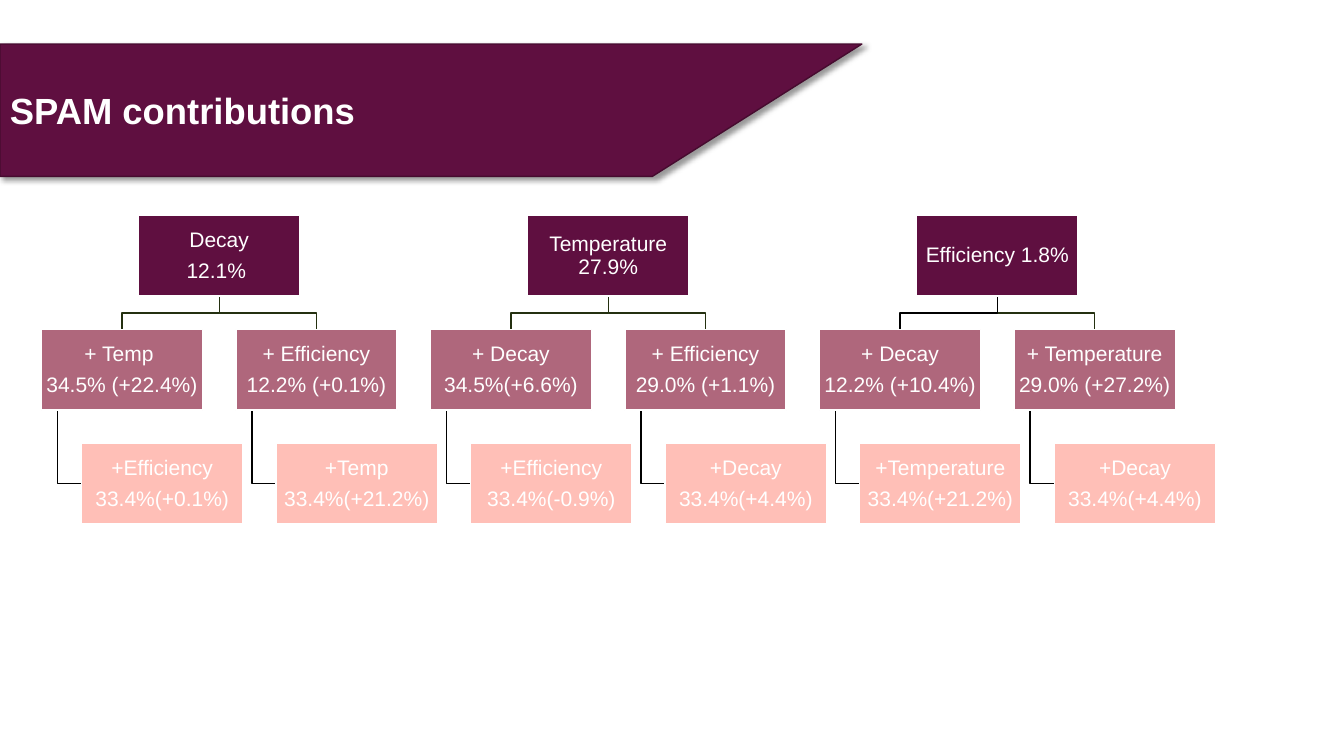
"""Build the SPAM contributions slide: a title banner above three two-branch trees."""
from lxml import etree
from pptx import Presentation
from pptx.dml.color import RGBColor
from pptx.enum import shapes, text
from pptx.oxml import ns
from pptx.util import Pt

PLUM, ROSE, PINK, WHITE = "5F0F40", "AF677C", "FFBFB7", "FFFFFF"
BLACK, OLIVE = "000000", "243010"
BOX_W, BOX_H = 115.2, 57.6
COLUMN_STEP, ROW_STEP = 138.96, 81.4
LEFT, TOP = 29.5, 154
LEAF_INDENT, ELBOW_INDENT = 28.8, 11.5


def outline(points, line_color, close=False):
    corners = [(Pt(x), Pt(y)) for x, y in points]
    builder = slide.shapes.build_freeform(*corners[0])
    builder.add_line_segments(corners[1:], close=close)
    path_shape = builder.convert_to_shape()
    path_shape.shadow.inherit = False
    path_shape.fill.background()
    path_shape.line.color.rgb = RGBColor.from_string(line_color)
    path_shape.line.width = Pt(1)
    return path_shape


def node(left, row, color, lines):
    box = slide.shapes.add_shape(
        shapes.MSO_SHAPE.RECTANGLE,
        Pt(left), Pt(TOP + row * ROW_STEP), Pt(BOX_W), Pt(BOX_H))
    box.shadow.inherit = False
    box.fill.solid()
    box.fill.fore_color.rgb = RGBColor.from_string(color)
    box.line.color.rgb = RGBColor.from_string(WHITE)
    box.line.width = Pt(1)
    frame = box.text_frame
    frame.word_wrap = True
    frame.vertical_anchor = text.MSO_ANCHOR.MIDDLE
    frame.margin_left = frame.margin_right = Pt(0.72)
    frame.margin_top = frame.margin_bottom = Pt(0.72)
    for i, line in enumerate(lines):
        paragraph = frame.add_paragraph() if i else frame.paragraphs[0]
        paragraph.text = line
        paragraph.alignment = text.PP_ALIGN.CENTER
        paragraph.line_spacing = 0.9
        paragraph.space_after = Pt(6)
        paragraph.font.name = "Arial"
        paragraph.font.size = Pt(15)
        paragraph.font.color.rgb = RGBColor.from_string(WHITE)


prs = Presentation()
prs.slide_width, prs.slide_height = Pt(960), Pt(540)
slide = prs.slides.add_slide(prs.slide_layouts[6])

banner = outline([(0, 31.5), (615.6, 31.5), (466, 126), (0, 126)], "460B2F", close=True)
banner.fill.solid()
banner.fill.fore_color.rgb = RGBColor.from_string(PLUM)
effects = banner._element.spPr.find(ns.qn("a:effectLst"))
shadow = etree.SubElement(
    effects, ns.qn("a:outerShdw"), blurRad=str(Pt(4)), dist=str(Pt(3)),
    dir="2700000", algn="tl", rotWithShape="0")
shade = etree.SubElement(shadow, ns.qn("a:srgbClr"), val=BLACK)
etree.SubElement(shade, ns.qn("a:alpha"), val="40000")
banner.text_frame.word_wrap = True
banner.text_frame.vertical_anchor = text.MSO_ANCHOR.MIDDLE
title = banner.text_frame.paragraphs[0]
title.text = "SPAM contributions"
title.alignment = text.PP_ALIGN.LEFT
title.font.name = "Arial"
title.font.size = Pt(26)
title.font.bold = True
title.font.color.rgb = RGBColor.from_string(WHITE)

trees = [
    (["Decay", "12.1% "], [
        (OLIVE, ["+ Temp ", "34.5% (+22.4%)"], ["+Efficiency", "33.4%(+0.1%)"]),
        (OLIVE, ["+ Efficiency", "12.2% (+0.1%)"], ["+Temp", "33.4%(+21.2%)"])]),
    (["Temperature 27.9%"], [
        (OLIVE, ["+ Decay", "34.5%(+6.6%)"], ["+Efficiency", "33.4%(-0.9%)"]),
        (OLIVE, ["+ Efficiency", "29.0% (+1.1%)"], ["+Decay", "33.4%(+4.4%)"])]),
    (["Efficiency 1.8%"], [
        (BLACK, ["+ Decay", "12.2% (+10.4%)"], ["+Temperature", "33.4%(+21.2%)"]),
        (OLIVE, ["+ Temperature", "29.0% (+27.2%)"], ["+Decay", "33.4%(+4.4%)"])]),
]

branch_top = TOP + ROW_STEP
root_bottom, branch_bottom = TOP + BOX_H, branch_top + BOX_H
fork_y = (root_bottom + branch_top) / 2
leaf_middle = TOP + 2 * ROW_STEP + BOX_H / 2

for t, (root, branches) in enumerate(trees):
    root_left = LEFT + (2 * t + 0.5) * COLUMN_STEP
    root_x = root_left + BOX_W / 2
    for b, (fork_color, branch, leaf) in reversed(list(enumerate(branches))):
        left = LEFT + (2 * t + b) * COLUMN_STEP
        branch_x, elbow_x = left + BOX_W / 2, left + ELBOW_INDENT
        outline([(elbow_x, branch_bottom), (elbow_x, leaf_middle),
                 (left + LEAF_INDENT, leaf_middle)], BLACK)
        outline([(root_x, root_bottom), (root_x, fork_y),
                 (branch_x, fork_y), (branch_x, branch_top)], fork_color)
        node(left, 1, ROSE, branch)
        node(left + LEAF_INDENT, 2, PINK, leaf)
    node(root_left, 0, PLUM, root)

prs.save("out.pptx")
